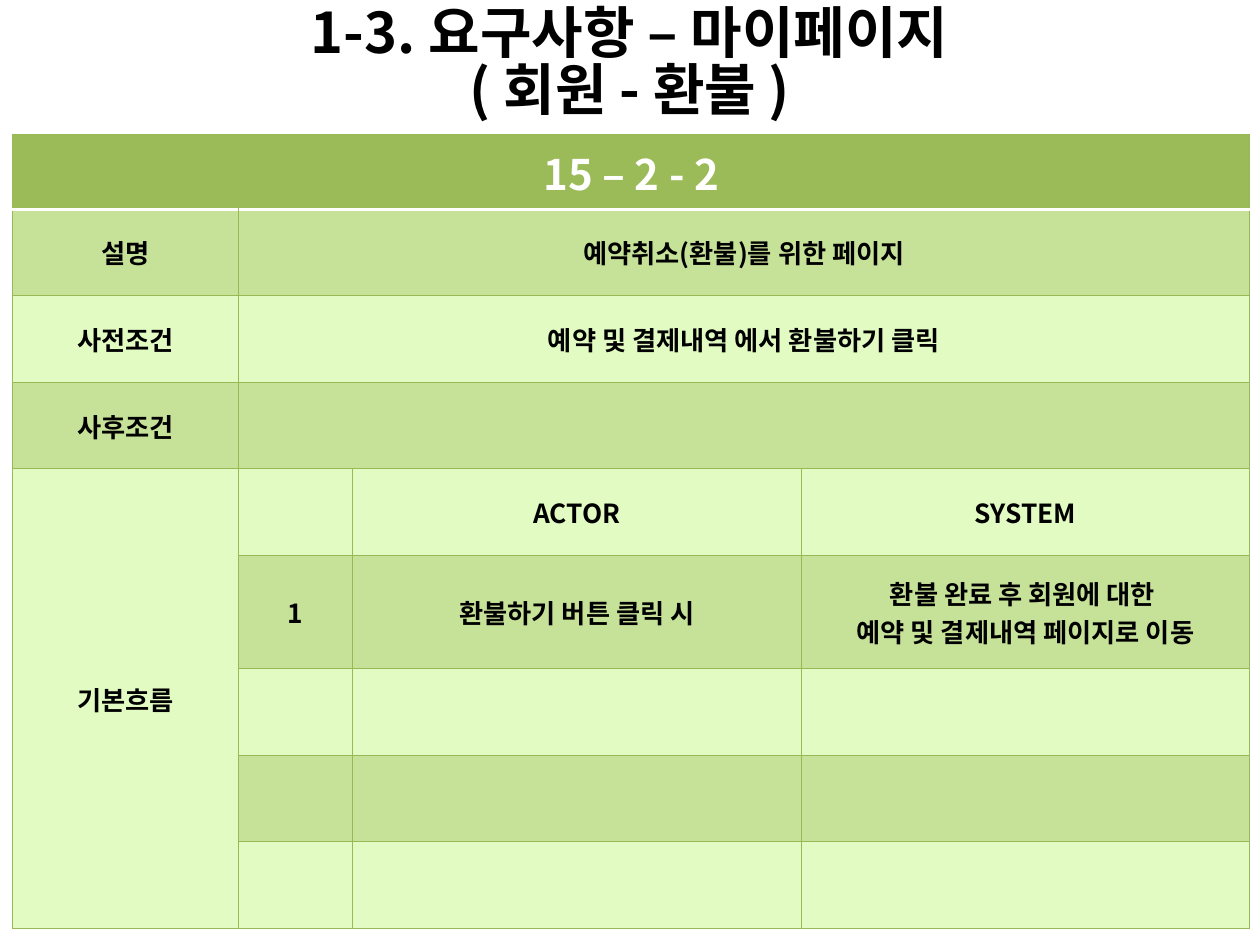
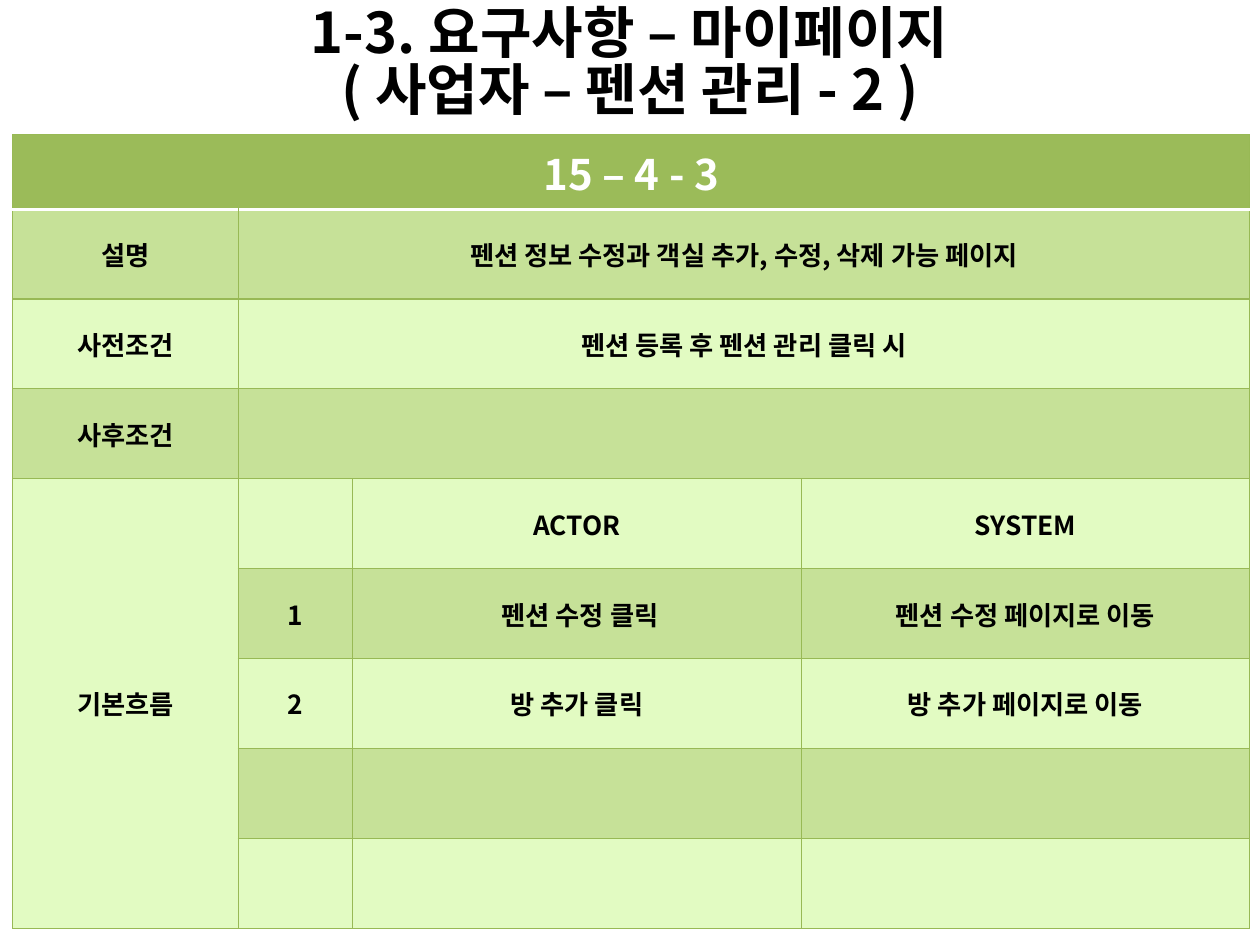
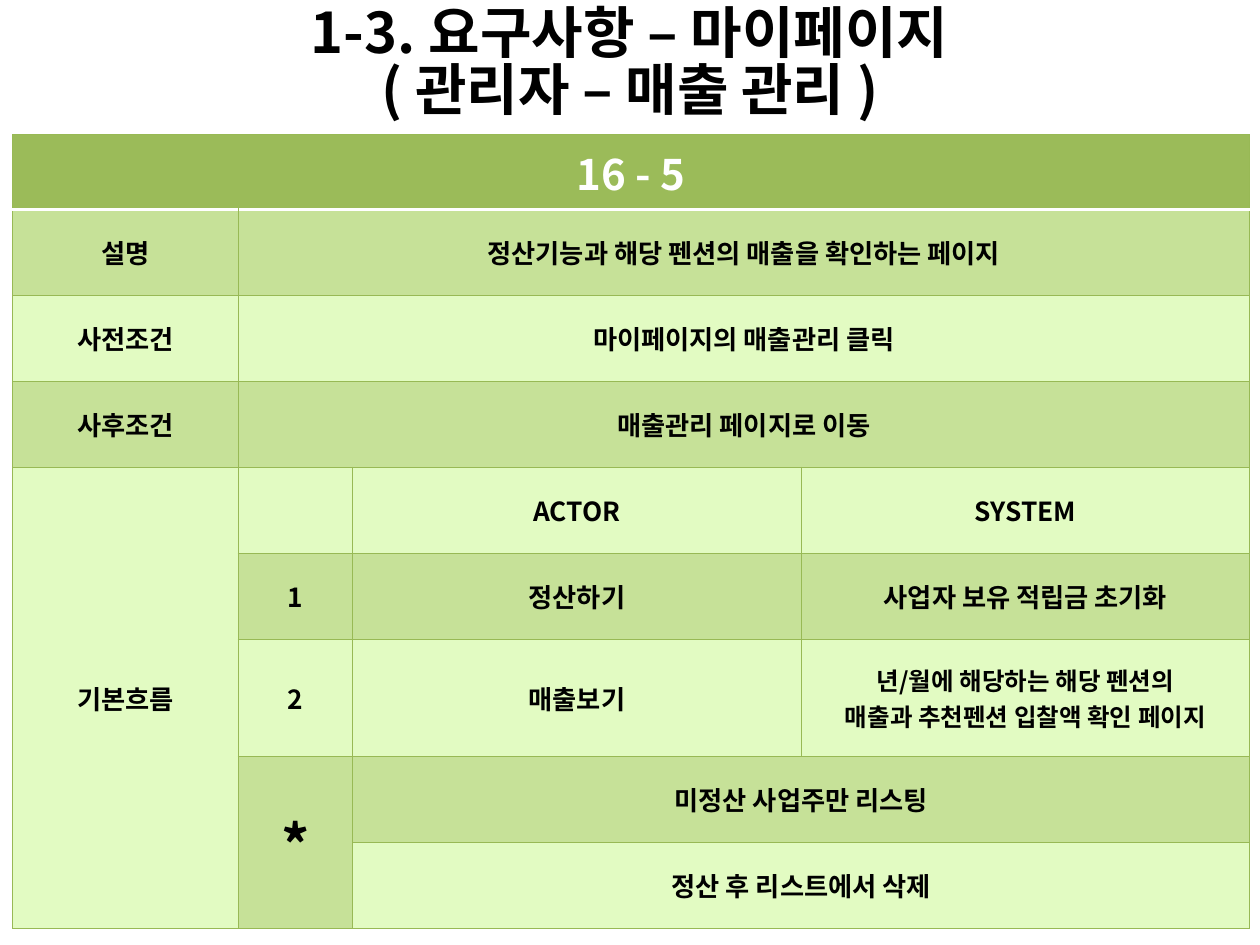
from pptx import Presentation
from pptx.dml.color import RGBColor
from pptx.enum.text import MSO_ANCHOR, PP_ALIGN
from pptx.oxml.ns import qn
from pptx.util import Pt
from lxml import etree

MIDDLE = MSO_ANCHOR.MIDDLE
CENTER = PP_ALIGN.CENTER

# Shared style: 100 px to the inch
SCALE = 9144
FONT = "Noto Sans CJK KR"
BLACK, WHITE = "000000", "FFFFFF"
HEAD, BAND, PALE, EDGE = "9BBB59", "C6E198", "E2FBC2", "98B955"
TOPIC = "1-3. 요구사항 – 마이페이지"
COLS = [179, 91, 356, 356]
ROWS, FLOW = 9, 4
TOTAL, TOP = 630, 59


def px(n):
    return n * SCALE


def color(code):
    return RGBColor.from_string(code)


class Deck:
    def __init__(self):
        self.prs = Presentation()
        self.prs.slide_width, self.prs.slide_height = px(1000), px(750)
        self.slide = None

    def page(self):
        self.slide = self.prs.slides.add_slide(self.prs.slide_layouts[6])

    def style(self, frame, size, ink=BLACK):
        for para in frame.paragraphs:
            para.alignment = CENTER
            for run in para.runs:
                font = run.font
                font.name, font.size, font.bold = FONT, Pt(size), True
                font.color.rgb = color(ink)
                east = etree.SubElement(run._r.get_or_add_rPr(), qn("a:ea"))
                east.set("typeface", FONT)

    def title(self, text):
        box = self.slide.shapes.add_textbox(px(50), px(-11), px(900), px(125))
        frame = box.text_frame
        frame.word_wrap = True
        frame.vertical_anchor = MIDDLE
        frame.text = f"{TOPIC}\v{text}"
        frame.paragraphs[0].line_spacing = 0.84
        self.style(frame, 32)

    def border(self, cell, side, code, width):
        line = etree.SubElement(cell._tc.get_or_add_tcPr(), qn(f"a:ln{side}"))
        line.set("w", str(Pt(width)))
        fill = etree.SubElement(line, qn("a:solidFill"))
        etree.SubElement(fill, qn("a:srgbClr")).set("val", code)

    def paint(self, cell, row):
        for side in "LRTB":
            seam = (row, side) in ((0, "B"), (1, "T"))
            self.border(cell, side, *((WHITE, 2) if seam else (EDGE, 0.75)))
        cell.fill.solid()
        tint = BAND if row % 2 else PALE
        cell.fill.fore_color.rgb = color(tint if row else HEAD)
        cell.vertical_anchor = MIDDLE

    def table(self, texts, spans, tall, sizes):
        """tall maps a row to its height; the other rows share the rest."""
        grid = self.slide.shapes.add_table(
            ROWS, len(COLS), px(10), px(107), px(sum(COLS)), px(TOTAL)).table
        grid.first_row = grid.horz_banding = False
        for col, wide in zip(grid.columns, COLS):
            col.width = px(wide)
        fixed = {0: TOP, **tall}
        even = px(TOTAL - sum(fixed.values())) // (ROWS - len(fixed))
        for r, row in enumerate(grid.rows):
            row.height = px(fixed[r]) if r in fixed else even
            for cell in row.cells:
                self.paint(cell, r)
        for r1, c1, r2, c2 in spans:
            grid.cell(r1, c1).merge(grid.cell(r2, c2))
        for (r, c), text in texts.items():
            cell = grid.cell(r, c)
            cell.text = text
            self.style(cell.text_frame, sizes.get((r, c), 15),
                       BLACK if r else WHITE)

    def case(self, name, code, facts, steps, tall=None, spans=(), sizes=None):
        """One use case: title, code, three facts and the basic flow."""
        self.page()
        self.title(name)
        texts = {(0, 0): code, (FLOW, 0): "기본흐름",
                 (FLOW, 2): "ACTOR", (FLOW, 3): "SYSTEM"}
        labels = ("설명", "사전조건", "사후조건")
        for r, (label, fact) in enumerate(zip(labels, facts), 1):
            texts[r, 0], texts[r, 1] = label, fact
        for r, step in enumerate(steps, FLOW + 1):
            for c, text in enumerate(step, 1):
                if text:
                    texts[r, c] = text
        base = [(0, 0, 0, 3), (FLOW, 0, ROWS - 1, 0)]
        base += [(r, 1, r, 3) for r in range(1, FLOW)]
        self.table(texts, base + list(spans), tall or {},
                   {(0, 0): 24, **(sizes or {})})


def main():
    deck = Deck()

    # Member refund
    deck.case(
        "( 회원 - 환불 )", "15 – 2 - 2",
        ("예약취소(환불)를 위한 페이지",
         "예약 및 결제내역 에서 환불하기 클릭", ""),
        [("1", "환불하기 버튼 클릭 시",
          "환불 완료 후 회원에 대한 \n예약 및 결제내역 페이지로 이동")],
        tall={5: 90})

    # Owner's pension management
    deck.case(
        "( 사업자 – 펜션 관리 - 2 )", "15 – 4 - 3",
        ("펜션 정보 수정과 객실 추가, 수정, 삭제 가능 페이지",
         "펜션 등록 후 펜션 관리 클릭 시", ""),
        [("1", " 펜션 수정 클릭", "펜션 수정 페이지로 이동"),
         ("2", "방 추가 클릭", "방 추가 페이지로 이동")])

    # Admin's sales management
    deck.case(
        "( 관리자 – 매출 관리 )", "16 - 5",
        ("정산기능과 해당 펜션의 매출을 확인하는 페이지",
         "마이페이지의 매출관리 클릭", "매출관리 페이지로 이동"),
        [("1", "정산하기", "사업자 보유 적립금 초기화"),
         ("2", "매출보기",
          " 년/월에 해당하는 해당 펜션의 \n매출과 추천펜션 입찰액 확인 페이지"),
         ("*", "미정산 사업주만 리스팅"),
         ("", "정산 후 리스트에서 삭제")],
        tall={6: 93},
        spans=[(7, 1, 8, 1), (7, 2, 7, 3), (8, 2, 8, 3)],
        sizes={(6, 3): 14, (7, 1): 32})

    deck.prs.save("out.pptx")


if __name__ == "__main__":
    main()
